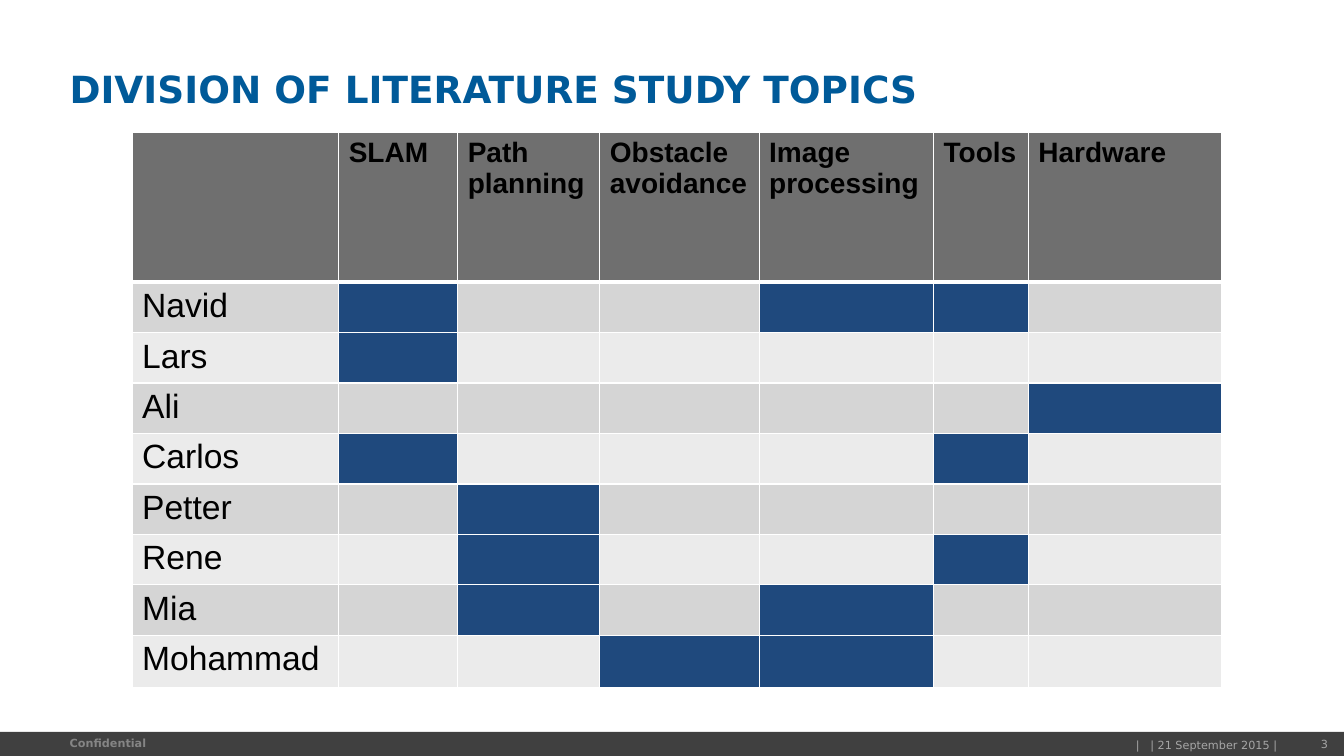
from lxml import etree
from pptx import Presentation
from pptx.dml.color import RGBColor
from pptx.enum.shapes import MSO_SHAPE
from pptx.enum.text import MSO_ANCHOR, PP_ALIGN
from pptx.oxml.ns import qn
from pptx.util import Inches, Pt

RECTANGLE = MSO_SHAPE.RECTANGLE
LEFT, RIGHT = PP_ALIGN.LEFT, PP_ALIGN.RIGHT
MIDDLE, BOTTOM = MSO_ANCHOR.MIDDLE, MSO_ANCHOR.BOTTOM

WHITE = RGBColor(0xFF, 0xFF, 0xFF)
BLACK = RGBColor(0x00, 0x00, 0x00)
TITLE_BLUE = RGBColor(0x00, 0x5A, 0x99)
ASSIGNED_BLUE = RGBColor(0x1F, 0x49, 0x7D)
HEADER_GREY = RGBColor(0x6F, 0x6F, 0x6F)
BAND_GREYS = (RGBColor(0xD5, 0xD5, 0xD5), RGBColor(0xEB, 0xEB, 0xEB))
FOOTER_DARK = RGBColor(0x40, 0x40, 0x40)
FOOTER_TEXT = RGBColor(0xA6, 0xA6, 0xA6)
FOOTER_LABEL = RGBColor(0x85, 0x85, 0x85)

HEADING_FONT, TABLE_FONT = "DejaVu Sans", "Arial"

TOPICS = ("SLAM", "Path planning", "Obstacle avoidance",
          "Image processing", "Tools", "Hardware")
ASSIGNMENTS = {
    "Navid": ("SLAM", "Image processing", "Tools"),
    "Lars": ("SLAM",),
    "Ali": ("Hardware",),
    "Carlos": ("SLAM", "Tools"),
    "Petter": ("Path planning",),
    "Rene": ("Path planning", "Tools"),
    "Mia": ("Path planning", "Image processing"),
    "Mohammad": ("Obstacle avoidance", "Image processing"),
}
COLUMN_WIDTHS = (2.05, 1.18, 1.41, 1.58, 1.73, 0.94, 1.92)
HEADER_HEIGHT, MEMBER_HEIGHT, LAST_HEIGHT = 1.49, 0.44, 0.52


def write(paragraph, text, color, **font_format):
    run = paragraph.add_run()
    run.text = text
    run.font.color.rgb = color
    for attribute, value in font_format.items():
        setattr(run.font, attribute, value)


def add_label(slide, box, text, color, size, bold=False, align=LEFT,
              anchor=MIDDLE, line_spacing=None):
    frame = slide.shapes.add_textbox(*map(Inches, box)).text_frame
    frame_format = {"word_wrap": True, "vertical_anchor": anchor,
                    "margin_left": 0, "margin_right": 0,
                    "margin_top": 0, "margin_bottom": 0}
    for attribute, value in frame_format.items():
        setattr(frame, attribute, value)
    paragraph = frame.paragraphs[0]
    paragraph.alignment = align
    paragraph.line_spacing = line_spacing
    write(paragraph, text, color, name=HEADING_FONT, size=Pt(size), bold=bold)


def set_borders(cell, bottom=1, top=1):
    # Borders come before the fill in the cell properties
    properties = cell._tc.get_or_add_tcPr()
    widths = {"a:lnL": 1, "a:lnR": 1, "a:lnT": top, "a:lnB": bottom}
    for position, (side, width) in enumerate(widths.items()):
        line = etree.Element(qn(side), w=str(Pt(width)))
        fill = etree.SubElement(line, qn("a:solidFill"))
        etree.SubElement(fill, qn("a:srgbClr"), val=str(WHITE))
        properties.insert(position, line)


def fill_cell(cell, color, text="", size=18, bold=False, **borders):
    cell.fill.solid()
    cell.fill.fore_color.rgb = color
    set_borders(cell, **borders)
    if text:
        write(cell.text_frame.paragraphs[0], text, BLACK,
              name=TABLE_FONT, size=Pt(size), bold=bold)


def add_footer(slide, left, top, width, height):
    bar = slide.shapes.add_shape(
        RECTANGLE, *map(Inches, (left, top, width, height)))
    bar.shadow.inherit = False
    bar.fill.solid()
    bar.fill.fore_color.rgb = FOOTER_DARK
    bar.line.fill.background()

    add_label(slide, (left + 0.69, top + 0.03, 2.62, 0.18), "Confidential",
              FOOTER_LABEL, 8, bold=True, line_spacing=0.95)
    add_label(slide, (left + 3.31, top + 0.04, 9.36, 0.18),
              "|   | 21 September 2015 |", FOOTER_TEXT, 8, align=RIGHT)
    add_label(slide, (left + 12.78, top + 0.04, 0.39, 0.17), "3",
              FOOTER_TEXT, 8, align=RIGHT)


def add_topic_table(slide, left, top):
    heights = [HEADER_HEIGHT, *[MEMBER_HEIGHT] * (len(ASSIGNMENTS) - 1),
               LAST_HEIGHT]
    box = (left, top, sum(COLUMN_WIDTHS), sum(heights))
    table = slide.shapes.add_table(
        len(heights), len(COLUMN_WIDTHS), *map(Inches, box)).table
    for column, width in zip(table.columns, COLUMN_WIDTHS):
        column.width = Inches(width)
    for row, height in zip(table.rows, heights):
        row.height = Inches(height)

    # Header row
    for column, topic in enumerate(("", *TOPICS)):
        fill_cell(table.cell(0, column), HEADER_GREY, topic, 20, True,
                  bottom=3)

    # One banded row per member, with assigned topics in blue
    for row, (member, assigned) in enumerate(ASSIGNMENTS.items(), start=1):
        band = BAND_GREYS[(row - 1) % 2]
        top_border = 3 if row == 1 else 1
        fill_cell(table.cell(row, 0), band, member, 24, top=top_border)
        for column, topic in enumerate(TOPICS, start=1):
            color = ASSIGNED_BLUE if topic in assigned else band
            fill_cell(table.cell(row, column), color, top=top_border)


def main():
    presentation = Presentation()
    presentation.slide_width = Inches(13.33)
    presentation.slide_height = Inches(7.5)
    slide = presentation.slides.add_slide(presentation.slide_layouts[6])

    add_footer(slide, 0, 7.26, 13.33, 0.26)
    add_label(slide, (0.69, 0.38, 9.97, 0.73),
              "DIVISION OF LITERATURE STUDY TOPICS", TITLE_BLUE, 26.7,
              bold=True, anchor=BOTTOM, line_spacing=0.95)
    add_topic_table(slide, 1.31, 1.31)

    presentation.save("out.pptx")


if __name__ == "__main__":
    main()
